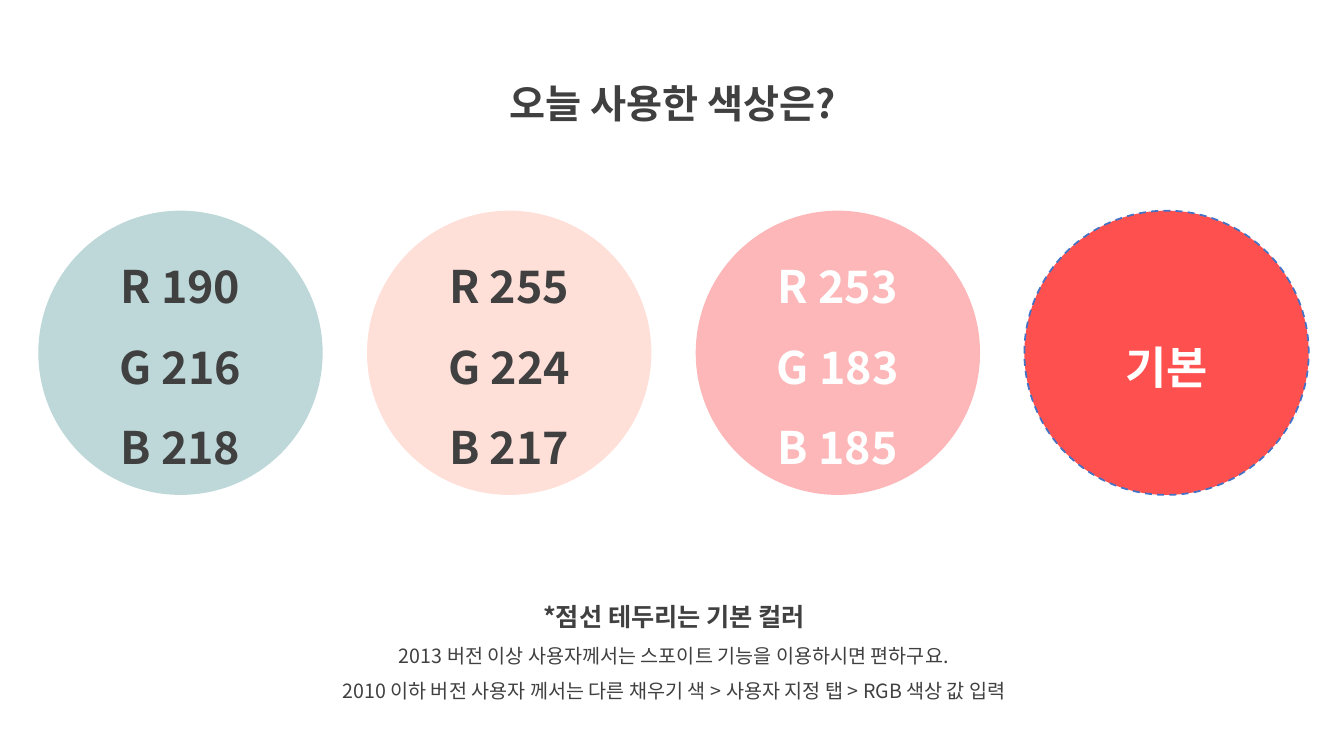
"""Build a slide that lists the colours used today as four circles."""
from lxml.etree import SubElement
from pptx import Presentation
from pptx.dml.color import RGBColor
from pptx.enum.dml import MSO_LINE
from pptx.enum.shapes import MSO_SHAPE
from pptx.enum.text import MSO_ANCHOR, MSO_AUTO_SIZE, PP_ALIGN
from pptx.oxml.ns import qn
from pptx.util import Inches, Pt

FONT = "Noto Sans CJK KR"
DARK, WHITE = "404040", "FFFFFF"


def paint(target, color):
    if hasattr(target, "solid"):
        target.solid()
        target = target.fore_color
    target.rgb = RGBColor.from_string(color)


def write(frame, text, size=14, bold=False, color=DARK, first=True):
    frame.word_wrap = True
    for n, line in enumerate(text.split("\n")):
        para = frame.paragraphs[0] if first and n == 0 else frame.add_paragraph()
        para.alignment = PP_ALIGN.CENTER
        para.line_spacing = 1.5
        run = para.add_run()
        run.text = line
        run.font.name = FONT
        run.font.size = Pt(size)
        run.font.bold = bold
        paint(run.font.color, color)
        SubElement(run.font._element, qn("a:ea"), typeface=FONT)


deck = Presentation()
deck.slide_width, deck.slide_height = Inches(13.33), Inches(7.5)
slide = deck.slides.add_slide(deck.slide_layouts[6])
shapes = slide.shapes

title = shapes.add_textbox(Inches(4.36), Inches(0.5), Inches(4.63), Inches(0.72))
title.text_frame.auto_size = MSO_AUTO_SIZE.SHAPE_TO_FIT_TEXT
write(title.text_frame, "오늘 사용한 색상은?", size=28, bold=True)

note = shapes.add_textbox(Inches(2.69), Inches(5.77), Inches(7.99), Inches(1.26))
note.text_frame.auto_size = MSO_AUTO_SIZE.SHAPE_TO_FIT_TEXT
write(note.text_frame, "*점선 테두리는 기본 컬러", size=18, bold=True)
write(
    note.text_frame,
    "2013 버전 이상 사용자께서는 스포이트 기능을 이용하시면 편하구요.\n"
    "2010 이하 버전 사용자 께서는 다른 채우기 색 > 사용자 지정 탭 > RGB 색상 값 입력",
    first=False,
)

swatches = [
    ("R 190\nG 216\nB 218", "BED8DA", DARK, False),
    ("R 255\nG 224\nB 217", "FFE0D9", DARK, False),
    ("R 253\nG 183\nB 185", "FDB7B9", WHITE, False),
    ("기본", "FF5050", WHITE, True),
]
for n, (label, fill, ink, dashed) in enumerate(swatches):
    disc = shapes.add_shape(
        MSO_SHAPE.OVAL, Inches(0.38 + 3.26 * n), Inches(2.09), Inches(2.82), Inches(2.82)
    )
    disc.shadow.inherit = False
    paint(disc.fill, fill)
    if dashed:
        paint(disc.line.fill, "4472C4")
        disc.line.width = Pt(1.25)
        disc.line.dash_style = MSO_LINE.DASH
    else:
        disc.line.fill.background()
    disc.text_frame.vertical_anchor = MSO_ANCHOR.MIDDLE
    write(disc.text_frame, label, size=32, bold=True, color=ink)

deck.save("out.pptx")
